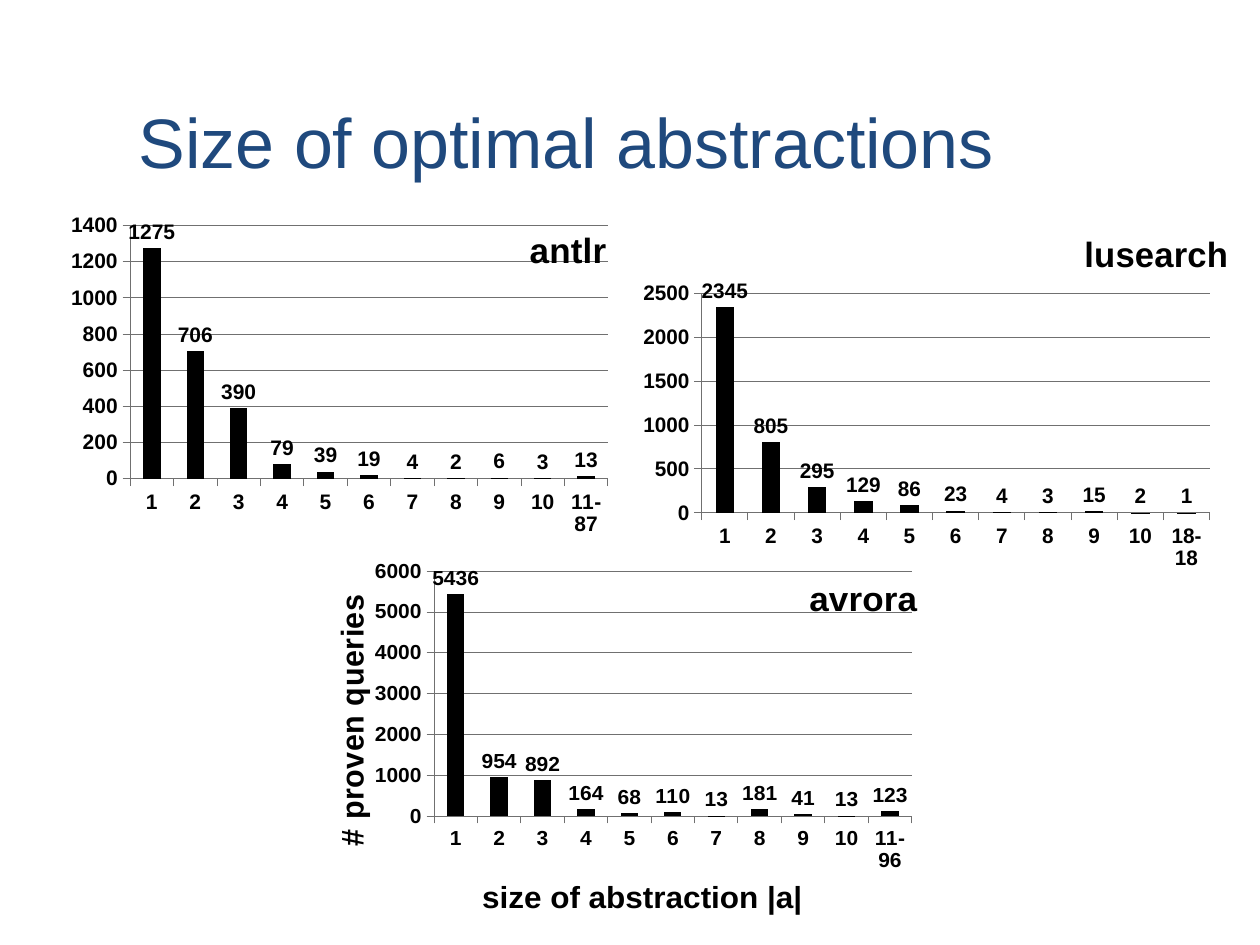
from lxml import etree
from pptx import Presentation
from pptx.chart.data import CategoryChartData
from pptx.dml.color import RGBColor
from pptx.enum.chart import XL_CHART_TYPE, XL_LABEL_POSITION, XL_TICK_MARK
from pptx.enum.text import MSO_ANCHOR, PP_ALIGN
from pptx.oxml.ns import qn
from pptx.util import Pt

COLUMNS = XL_CHART_TYPE.COLUMN_CLUSTERED
OUTSIDE_END = XL_LABEL_POSITION.OUTSIDE_END
TICK_OUTSIDE, TICK_NONE = XL_TICK_MARK.OUTSIDE, XL_TICK_MARK.NONE
BOTTOM, LEFT = MSO_ANCHOR.BOTTOM, PP_ALIGN.LEFT

BLACK = RGBColor(0x00, 0x00, 0x00)
GRAY = RGBColor(0x70, 0x70, 0x70)
NAVY = RGBColor(0x1F, 0x49, 0x7D)
FONT = "Arial"

# Content: positions in points, layouts as fractions of the chart
TITLE = "Size of optimal abstractions"
CHART_SIZE = (345.6, 216)
FIRST_SIZES = [str(size) for size in range(1, 11)]
CHARTS = [
    {"name": "antlr", "at": (12.2, 113.8), "last": "11-87", "top": 1400, "step": 200,
     "values": [1275, 706, 390, 79, 39, 19, 4, 2, 6, 3, 13],
     "title_at": (0.83, 0.06), "plot": (0.18, 0.07, 0.79, 0.67)},
    {"name": "lusearch", "at": (360, 113.8), "last": "18-18", "top": 2500, "step": 500,
     "values": [2345, 805, 295, 129, 86, 23, 4, 3, 15, 2, 1],
     "title_at": (0.75, 0.07), "plot": (0.12, 0.25, 0.85, 0.58)},
    {"name": "avrora", "at": (185.8, 311.8), "last": "11-96", "top": 6000, "step": 1000,
     "values": [5436, 954, 892, 164, 68, 110, 13, 181, 41, 13, 123],
     "title_at": (0.79, 0.07), "plot": (0.18, 0.07, 0.79, 0.67),
     "category_title": ("size of abstraction |a|", (0.25, 0.89)),
     "value_title": ("# proven queries", (0.0, 0.14))},
]


def format_font(font, size, color=BLACK, bold=True):
    font.name, font.size, font.bold = FONT, Pt(size), bold
    font.color.rgb = color


def format_line(line):
    line.color.rgb, line.width = GRAY, Pt(0.5)


def set_layout(element, fractions, position, inner=False):
    """Place a chart part by fractions of the chart's width and height."""
    for old in element.findall(qn("c:layout")):
        element.remove(old)
    layout = etree.Element(qn("c:layout"))
    manual = etree.SubElement(layout, qn("c:manualLayout"))
    settings = [("layoutTarget", "inner")] if inner else []
    settings += [("xMode", "edge"), ("yMode", "edge")]
    settings += zip("xywh", fractions)
    for tag, value in settings:
        etree.SubElement(manual, qn("c:" + tag)).set("val", str(value))
    element.insert(position, layout)


def set_title(title, text, size, position, rotation=0):
    frame = title.text_frame
    frame.text = text
    format_font(frame.paragraphs[0].runs[0].font, size)
    frame._txBody.bodyPr.set("rot", str(rotation * 60000))
    set_layout(title._element, position, 1)


def add_column_chart(slide, item):
    data = CategoryChartData()
    data.categories = FIRST_SIZES + [item["last"]]
    data.add_series(item["name"], item["values"])
    box = [Pt(length) for length in item["at"] + CHART_SIZE]
    chart = slide.shapes.add_chart(COLUMNS, *box, data).chart
    chart.has_legend = False
    format_font(chart.font, 12)

    # Titles and plot area
    chart.has_title = True
    set_title(chart.chart_title, item["name"], 20, item["title_at"])
    chart.chart_title._element.find(qn("c:overlay")).set("val", "1")
    plot_area = chart._chartSpace.find(".//" + qn("c:plotArea"))
    set_layout(plot_area, item["plot"], 0, inner=True)
    category_axis, value_axis = chart.category_axis, chart.value_axis
    for axis, key, rotation in ((category_axis, "category_title", 0),
                                (value_axis, "value_title", -90)):
        if key in item:
            text, position = item[key]
            set_title(axis.axis_title, text, 18, position, rotation)

        # Axis lines and labels
        axis.major_tick_mark, axis.minor_tick_mark = TICK_OUTSIDE, TICK_NONE
        format_font(axis.tick_labels.font, 12)
        format_line(axis.format.line)
    value_axis.minimum_scale, value_axis.maximum_scale = 0, item["top"]
    value_axis.major_unit = item["step"]
    value_axis.has_major_gridlines = True
    format_line(value_axis.major_gridlines.format.line)

    # Columns and their values
    plot = chart.plots[0]
    plot.gap_width, plot.vary_by_categories = 150, False
    fill = plot.series[0].format.fill
    fill.solid()
    fill.fore_color.rgb = BLACK
    plot.has_data_labels = True
    labels = plot.data_labels
    labels.show_value, labels.position = True, OUTSIDE_END
    format_font(labels.font, 12)


def main():
    presentation = Presentation()
    presentation.slide_width, presentation.slide_height = Pt(720), Pt(540)
    slide = presentation.slides.add_slide(presentation.slide_layouts[5])

    # Slide title
    title = slide.shapes.title
    title.left, title.top, title.width, title.height = Pt(72), Pt(21.6), Pt(612), Pt(90)
    frame = title.text_frame
    frame.text = TITLE
    frame.vertical_anchor = BOTTOM
    frame.margin_bottom = Pt(7.2)
    paragraph = frame.paragraphs[0]
    paragraph.alignment = LEFT
    format_font(paragraph.runs[0].font, 40, NAVY, bold=False)

    for item in CHARTS:
        add_column_chart(slide, item)
    presentation.save("out.pptx")


if __name__ == "__main__":
    main()
